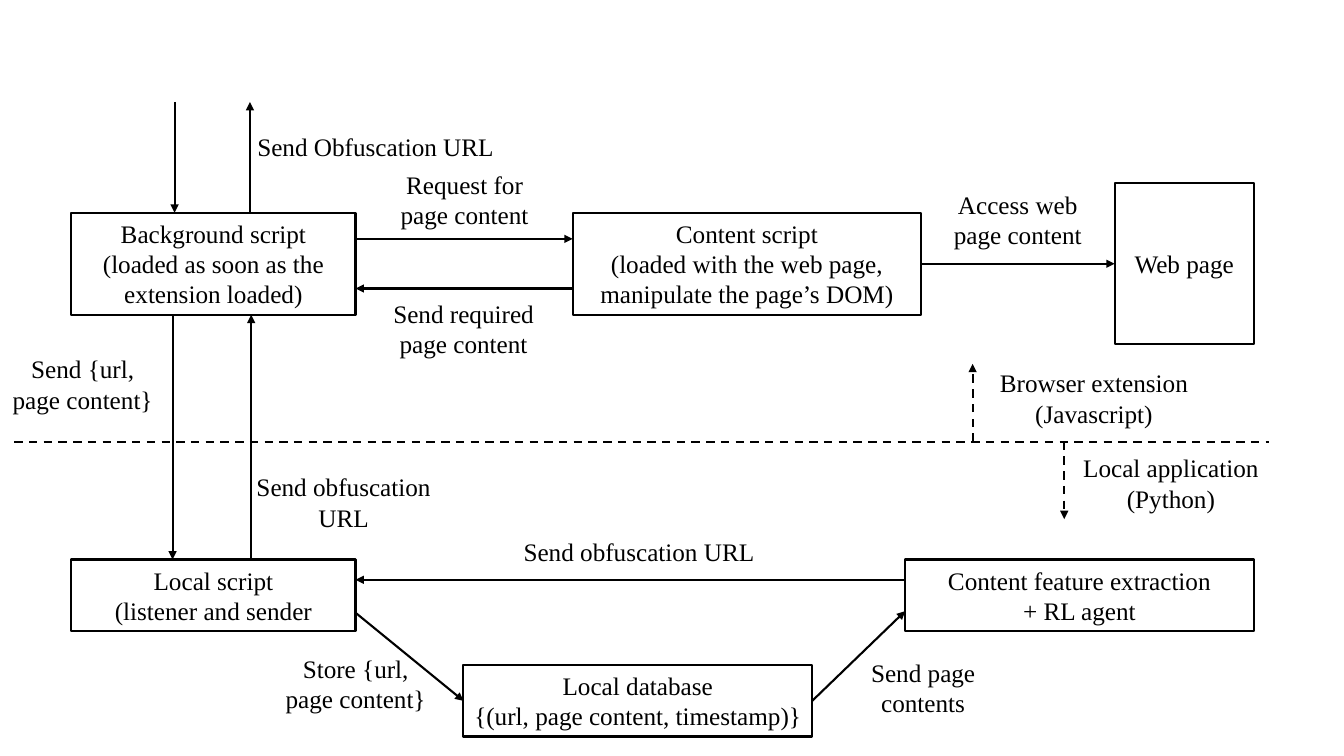
from lxml import etree
from pptx import Presentation
from pptx.dml.color import RGBColor
from pptx.enum.dml import MSO_LINE
from pptx.enum.shapes import MSO_CONNECTOR, MSO_SHAPE
from pptx.enum.text import MSO_ANCHOR, PP_ALIGN
from pptx.oxml.ns import qn
from pptx.util import Cm, Pt

BLACK = RGBColor(0, 0, 0)
RECTANGLE = MSO_SHAPE.RECTANGLE
STRAIGHT = MSO_CONNECTOR.STRAIGHT
DASH = MSO_LINE.DASH
CENTER = PP_ALIGN.CENTER
MIDDLE = MSO_ANCHOR.MIDDLE
TOP = MSO_ANCHOR.TOP
LEFT_SIDE, RIGHT_SIDE = 1, 3

SCRIPT_LEFT, SCRIPT_WIDTH = 1.8, 7.16
SCRIPT_RIGHT = SCRIPT_LEFT + SCRIPT_WIDTH
WIDE = 8.79
UPPER_TOP, UPPER_HEIGHT = 5.36, 2.57
UPPER_BOTTOM = UPPER_TOP + UPPER_HEIGHT
LOWER_TOP, LOWER_HEIGHT = 14.1, 1.8
CONTENT_LEFT, EXTRACTION_LEFT, DATABASE_LEFT = 14.43, 22.81, 11.68
DIVIDER = 11.13
ARROWS_TOP = 2.57


class Diagram:
    font = "Times New Roman"
    size = Pt(18)
    line_width = Pt(1.5)

    def __init__(self, page):
        self.shapes = page.shapes

    def add_lines(self, shape, lines, anchor):
        frame = shape.text_frame
        frame.word_wrap = True
        frame.vertical_anchor = anchor
        for index, line in enumerate(lines):
            para = frame.paragraphs[0] if index == 0 else frame.add_paragraph()
            para.alignment = CENTER
            span = para.add_run()
            span.text = line
            span.font.name = self.font
            span.font.size = self.size
            span.font.color.rgb = BLACK

    def box(self, left, top, width, height, *lines):
        box = self.shapes.add_shape(RECTANGLE, Cm(left), Cm(top), Cm(width), Cm(height))
        box.shadow.inherit = False
        box.fill.background()
        box.line.color.rgb = BLACK
        box.line.width = self.line_width
        self.add_lines(box, lines, MIDDLE)
        return box

    def label(self, left, top, width, height, *lines):
        label = self.shapes.add_textbox(Cm(left), Cm(top), Cm(width), Cm(height))
        self.add_lines(label, lines, TOP)

    def line(self, start, end, dashed=False):
        line = self.shapes.add_connector(STRAIGHT, *map(Cm, start + end))
        line.line.color.rgb = BLACK
        line.line.width = self.line_width
        if dashed:
            line.line.dash_style = DASH
        etree.SubElement(line._element.spPr, qn("a:effectLst"))
        return line

    def arrow(self, start, end, dashed=False, source=None, target=None):
        arrow = self.line(start, end, dashed)
        outline = arrow._element.spPr.find(qn("a:ln"))
        etree.SubElement(outline, qn("a:tailEnd"), type="triangle")
        if source:
            arrow.begin_connect(source, RIGHT_SIDE)
        if target:
            arrow.end_connect(target, LEFT_SIDE)


def main():
    deck = Presentation()
    deck.slide_width, deck.slide_height = Cm(33.87), Cm(19.05)
    diagram = Diagram(deck.slides.add_slide(deck.slide_layouts[6]))

    content = diagram.box(CONTENT_LEFT, UPPER_TOP, WIDE, UPPER_HEIGHT,
                          "Content script",
                          "(loaded with the web page, manipulate the page’s DOM)")
    web_page = diagram.box(28.09, 4.62, 3.51, 4.05, "Web page")
    diagram.box(SCRIPT_LEFT, UPPER_TOP, SCRIPT_WIDTH, UPPER_HEIGHT,
                "Background script", "(loaded as soon as the extension loaded)")
    diagram.box(SCRIPT_LEFT, LOWER_TOP, SCRIPT_WIDTH, LOWER_HEIGHT,
                "Local script", "(listener and sender")
    diagram.box(EXTRACTION_LEFT, LOWER_TOP, WIDE, LOWER_HEIGHT,
                "Content feature extraction", "+ RL agent")
    database = diagram.box(DATABASE_LEFT, 16.76, WIDE, LOWER_HEIGHT,
                           "Local database", "{(url, page content, timestamp)}")

    database_middle = 17.66
    content_right = CONTENT_LEFT + WIDE
    for start, end in (
        ((SCRIPT_RIGHT, 6.02), (CONTENT_LEFT, 6.02)),
        ((CONTENT_LEFT, 7.27), (SCRIPT_RIGHT, 7.27)),
        ((4.35, UPPER_BOTTOM), (4.35, LOWER_TOP)),
        ((6.33, LOWER_TOP), (6.33, UPPER_BOTTOM)),
        ((EXTRACTION_LEFT, 14.61), (SCRIPT_RIGHT, 14.61)),
        ((6.3, UPPER_TOP), (6.3, ARROWS_TOP)),
        ((4.4, ARROWS_TOP), (4.4, UPPER_TOP)),
    ):
        diagram.arrow(start, end)
    diagram.arrow((content_right, 6.65), (28.09, 6.65), source=content, target=web_page)
    diagram.arrow((SCRIPT_RIGHT, 15.44), (DATABASE_LEFT, database_middle), target=database)
    diagram.arrow((DATABASE_LEFT + WIDE, database_middle), (EXTRACTION_LEFT, 15.4),
                  source=database)

    diagram.line((0.36, DIVIDER), (31.98, DIVIDER), dashed=True)
    diagram.arrow((24.51, DIVIDER), (24.51, 9.17), dashed=True)
    diagram.arrow((26.82, DIVIDER), (26.82, 13.08), dashed=True)

    one_line, two_lines = 1.02, 1.8
    for left, top, width, height, *lines in (
        (9.78, 4.14, 3.86, two_lines, "Request for page content"),
        (9.55, 7.39, 4.27, two_lines, "Send required page content"),
        (23.72, 4.65, 3.86, two_lines, "Access web page content"),
        (0, 8.79, 4.17, two_lines, "Send {url, page content}"),
        (6.12, 11.76, 5.08, two_lines, "Send obfuscation URL"),
        (6.83, 16.33, 4.27, two_lines, "Store {url, page content}"),
        (21.13, 16.43, 4.27, two_lines, "Send page contents"),
        (12.17, 13.39, 7.87, one_line, "Send obfuscation URL"),
        (5.64, 3.18, 7.65, one_line, "Send Obfuscation URL"),
        (24.56, 9.14, 6.02, two_lines, "Browser extension", "(Javascript)"),
        (26.97, 11.28, 5.08, two_lines, "Local application", "(Python)"),
    ):
        diagram.label(left, top, width, height, *lines)

    deck.save("out.pptx")


if __name__ == "__main__":
    main()
